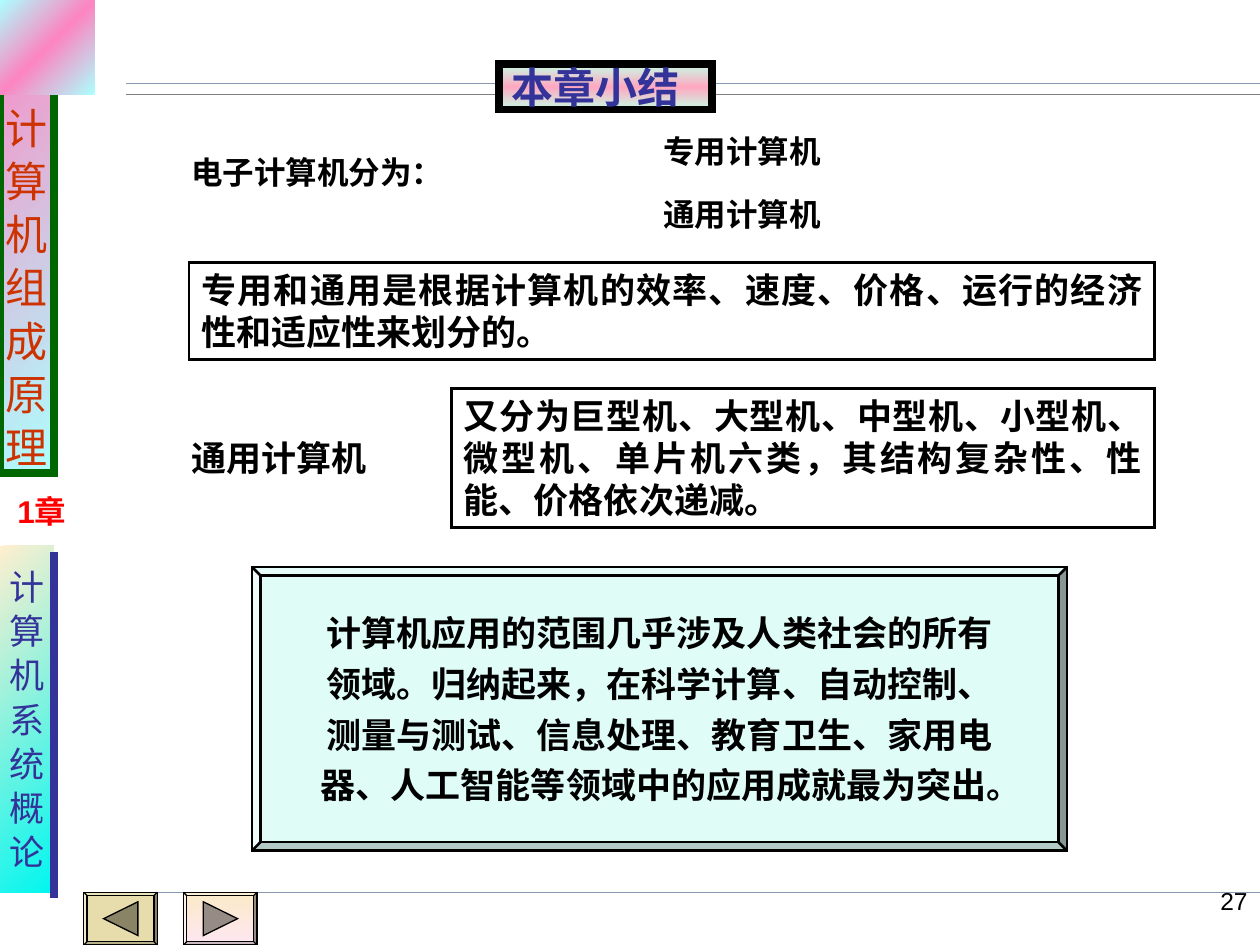
import pptx
import pptx.util
import pptx.dml.color
import pptx.enum.shapes
import pptx.enum.text
import pptx.oxml
import pptx.oxml.ns
import lxml.etree

Cm, Pt = pptx.util.Cm, pptx.util.Pt
SHAPE = pptx.enum.shapes.MSO_SHAPE
ALIGN = pptx.enum.text.PP_ALIGN
ANCHOR = pptx.enum.text.MSO_ANCHOR

COLORS = {
    "black": "000000", "white": "FFFFFF", "blue": "333399", "red": "FF0000",
    "rust": "CC3300", "green": "006600", "rule": "8799AE", "gray": "808080",
    "pink": "FD85C1", "sky": "ADFFFF", "cream": "FFEFCF", "cyan": "00F6F0",
    "mint": "C7FBE5", "rose": "FEA8C1", "ice": "E0FCF7",
    "sand": "E6DCAC", "sand_dark": "8A8467",
    "peach": "FBEAC7", "blush": "FEE7F2", "peach_dark": "978B85",
}
ARIAL, CJK = "Arial", "Noto Sans CJK SC"

# Lengths in centimetres: x1, y1, x2, y2, colour, points
RULES = [
    (2.54, 1.69, 25.4, 1.69, "rule", 0.75),
    (2.54, 1.91, 25.4, 1.91, "gray", 0.75),
    (1.69, 17.99, 25.4, 17.99, "rule", 0.75),
]
CHAPTER_BAR = (1.09, 11.13, 1.09, 18.1, "blue", 4.5)
COURSE = "计算机组成原理"
CHAPTER = "计算机系统概论"
TITLE = "本章小结"
# left, top, width, height, text, size
LABELS = [
    (3.61, 2.96, 6.77, 1.02, "电子计算机分为：", 18),
    (3.61, 8.68, 5.29, 1.12, "通用计算机", 20),
    (13.12, 2.54, 5.08, 1.02, "专用计算机", 18),
    (13.12, 3.81, 5.29, 1.02, "通用计算机", 18),
]
# left, top, width, height, text, font, fill
FRAMES = [
    (3.81, 5.29, 19.47, 1.96,
     "专用和通用是根据计算机的效率、速度、价格、运行的经济性和适应性来划分的。", ARIAL, None),
    (9.1, 7.83, 14.18, 2.8,
     "又分为巨型机、大型机、中型机、小型机、微型机、单片机六类，其结构复杂性、性能、价格依次递减。",
     CJK, "white"),
]
APPLICATIONS = [
    "计算机应用的范围几乎涉及人类社会的所有",
    "领域。归纳起来，在科学计算、自动控制、",
    "测量与测试、信息处理、教育卫生、家用电",
    "器、人工智能等领域中的应用成就最为突出。",
]
# left, points to the right, fill, arrow colour
BUTTONS = [
    (1.69, False, "sand", "sand_dark"),
    (3.7, True, (90, "peach", "blush"), "peach_dark"),
]


def rgb(name):
    return pptx.dml.color.RGBColor.from_string(COLORS[name])


def paint(s, fill=None, line=None, width=0.75):
    """Fill is a colour name, a gradient as (angle, colour, colour, ...) or None."""
    s.shadow.inherit = False
    if fill is None:
        s.fill.background()
    elif isinstance(fill, str):
        s.fill.solid()
        s.fill.fore_color.rgb = rgb(fill)
    else:
        angle, *names = fill
        s.fill.gradient()
        grad = s._element.spPr.find(pptx.oxml.ns.qn("a:gradFill"))
        stops = "".join(
            f'<a:gs pos="{100000 * i // (len(names) - 1)}"><a:srgbClr val="{COLORS[n]}"/></a:gs>'
            for i, n in enumerate(names))
        grad.getparent().replace(grad, pptx.oxml.parse_xml(
            f'<a:gradFill {pptx.oxml.ns.nsdecls("a")} rotWithShape="1"><a:gsLst>{stops}'
            f'</a:gsLst><a:lin ang="{angle * 60000}" scaled="0"/></a:gradFill>'))
    if line:
        s.line.color.rgb = rgb(line)
        s.line.width = Pt(width)
        ln = s._element.spPr.find(pptx.oxml.ns.qn("a:ln"))
        lxml.etree.SubElement(ln, pptx.oxml.ns.qn("a:miter")).set("lim", "800000")
    else:
        s.line.fill.background()


def add_box(slide, box, fill=None, line=None, width=0.75, kind=SHAPE.RECTANGLE):
    s = slide.shapes.add_shape(kind, *map(Cm, box))
    paint(s, fill, line, width)
    return s


def add_line(slide, x1, y1, x2, y2, color, width):
    c = slide.shapes.add_connector(pptx.enum.shapes.MSO_CONNECTOR.STRAIGHT,
                                   Cm(x1), Cm(y1), Cm(x2), Cm(y2))
    c.line.color.rgb = rgb(color)
    c.line.width = Pt(width)
    lxml.etree.SubElement(c._element.spPr, pptx.oxml.ns.qn("a:effectLst"))


def write(s, lines, size, color="black", font=ARIAL, bold=True, align=ALIGN.JUSTIFY,
          anchor=ANCHOR.TOP, gap=0, wrap=True):
    """Put one paragraph per line, keeping punctuation inside the margins."""
    tf = s.text_frame
    tf.text = "\n".join(lines)
    tf.word_wrap = wrap
    tf.vertical_anchor = anchor
    for i, p in enumerate(tf.paragraphs):
        p.alignment = align
        p.line_spacing = Pt(size * 1.2)
        p._p.get_or_add_pPr().set("hangingPunct", "0")
        if i:
            p.space_before = Pt(gap)
        for r in p.runs:
            r.font.size, r.font.bold, r.font.name = Pt(size), bold, font
            r.font.color.rgb = rgb(color)
            ea = lxml.etree.SubElement(r._r.get_or_add_rPr(), pptx.oxml.ns.qn("a:ea"))
            ea.set("typeface", CJK)
    return tf


def add_text(slide, box, text, size, **style):
    return write(slide.shapes.add_textbox(*map(Cm, box)), [text], size, **style)


def add_button(slide, left, forward, fill, arrow):
    top, w, h = 17.99, 1.48, 1.06
    s = add_box(slide, (left, top, w, h), fill, "black", kind=SHAPE.BEVEL)
    s.adjustments[0] = 0.06
    back, tip = (0.4, 1.09) if forward else (1.09, 0.4)
    fb = slide.shapes.build_freeform(Cm(left + back), Cm(top + 0.19))
    fb.add_line_segments([(Cm(left + tip), Cm(top + h / 2)),
                          (Cm(left + back), Cm(top + h - 0.19))], close=True)
    paint(fb.convert_to_shape(), arrow, "black")


def main():
    prs = pptx.Presentation()
    prs.slide_width, prs.slide_height = Cm(25.4), Cm(19.05)
    slide = prs.slides.add_slide(prs.slide_layouts[6])

    for rule in RULES:
        add_line(slide, *rule)

    column = dict(bold=False, align=ALIGN.CENTER, anchor=ANCHOR.MIDDLE, wrap=False)
    s = add_box(slide, (0, 0, 1.09, 9.53), (45, "pink", "sky"), "green", 4.5)
    tf = write(s, COURSE, 24, "rust", gap=1.5, **column)
    tf.margin_top, tf.margin_bottom = Cm(2.05), 0
    s = add_box(slide, (0, 11, 1.09, 6.99), (45, "cream", "cyan"))
    write(s, CHAPTER, 20, "blue", gap=1.2, **column)

    for button in BUTTONS:
        add_button(slide, *button)
    add_box(slide, (0, 0, 1.91, 1.91), (45, "sky", "pink", "sky"))
    add_text(slide, (0, 9.8, 1.69, 1.02), "1章", 18, color="red", align=ALIGN.CENTER, wrap=False)
    add_line(slide, *CHAPTER_BAR)
    add_text(slide, (22.86, 17.73, 2.54, 1.32), "27", 14, bold=False, align=ALIGN.RIGHT)

    s = add_box(slide, (10.06, 1.3, 4.29, 0.91), (90, "mint", "rose", "mint"), "black", 4.5)
    tf = write(s, [TITLE], 24, "blue", CJK, align=ALIGN.LEFT, anchor=ANCHOR.MIDDLE)
    tf.margin_top = tf.margin_bottom = 0

    for *box, text, size in LABELS:
        add_text(slide, box, text, size)
    for *box, text, font, fill in FRAMES:
        write(add_box(slide, box, fill, "black", 1.5), [text], 20, font=font)

    s = add_box(slide, (5.08, 11.43, 16.43, 5.72), "ice", "black", 1.5, SHAPE.BEVEL)
    s.adjustments[0] = 0.03
    tf = write(s, APPLICATIONS, 20, font=CJK, align=ALIGN.CENTER, anchor=ANCHOR.MIDDLE, gap=5)
    tf.paragraphs[-1]._p.get_or_add_pPr().set("marL", str(Cm(0.48)))

    prs.save("out.pptx")


if __name__ == "__main__":
    main()
